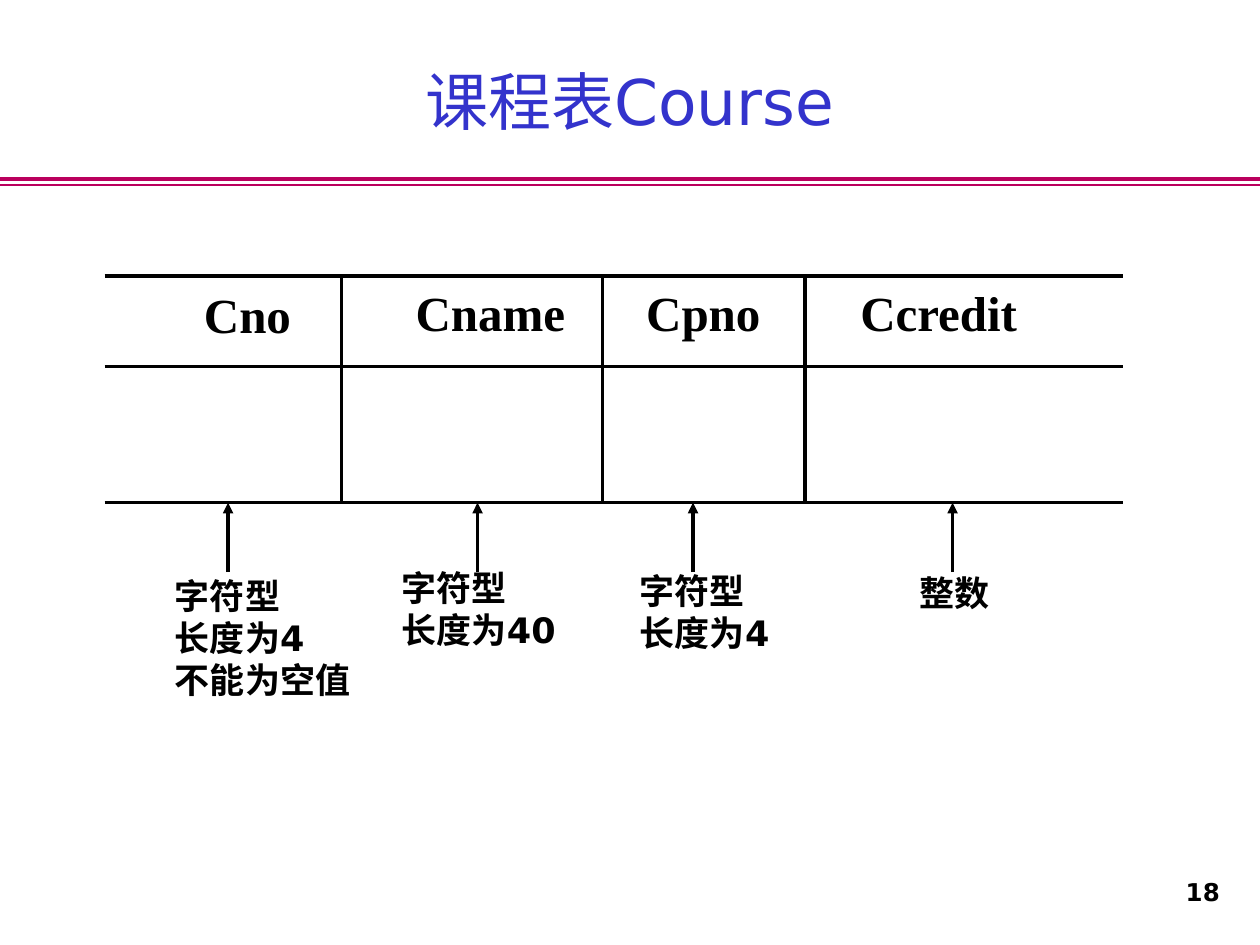
from pptx import Presentation
from pptx import util as u
from pptx.dml.color import RGBColor
from pptx.enum import shapes, text
from pptx.oxml.ns import qn
from lxml import etree

SANS, SERIF = "DejaVu Sans", "Times New Roman"
BLACK, BLUE, CRIMSON = "000000", "3333CC", "BA005D"

# Table grid, in inches
LEFT, RIGHT = 0.83, 8.91
ROWS = [2.19, 2.91, 3.99]
COLUMNS = [2.71, 4.78, 6.39]
ARROW_START = 4.54

# Field: (name, box), arrow x, (type notes, box)
FIELDS = [
    ("Cno", (1.52, 2.21, 0.98, 0.57), 1.81,
     ["字符型", "长度为4", "不能为空值"], (1.29, 4.51, 1.65, 1.1)),
    ("Cname", (3.2, 2.19, 1.5, 0.57), 3.79,
     ["字符型", "长度为40"], (3.09, 4.45, 1.42, 0.77)),
    ("Cpno", (5.03, 2.19, 1.22, 0.57), 5.5,
     ["字符型", "长度为4"], (4.98, 4.47, 1.26, 0.77)),
    ("Ccredit", (6.73, 2.19, 1.6, 0.57), 7.56,
     ["整数"], (7.2, 4.49, 0.9, 0.44)),
]


def color(value):
    return RGBColor.from_string(value)


def format_text(tf, size, font, fill, bold, align):
    for p in tf.paragraphs:
        p.alignment = align
        for r in p.runs:
            r.font.size = u.Pt(size)
            r.font.name = font
            r.font.bold = bold
            r.font.color.rgb = color(fill)


def add_text(s, lines, box, size, font, align=text.PP_ALIGN.LEFT):
    sp = s.shapes.add_textbox(*map(u.Inches, box))
    tf = sp.text_frame
    tf.word_wrap = True
    tf.text = "\n".join(lines)
    format_text(tf, size, font, BLACK, True, align)
    return tf


def add_line(s, x1, y1, x2, y2, width=2, stroke=BLACK, arrow=False):
    line = s.shapes.add_connector(shapes.MSO_CONNECTOR.STRAIGHT,
                                  *map(u.Inches, (x1, y1, x2, y2)))
    line.line.width = u.Pt(width)
    line.line.color.rgb = color(stroke)
    if arrow:
        ln = line._element.spPr.find(qn("a:ln"))
        etree.SubElement(ln, qn("a:tailEnd"), type="triangle")
    etree.SubElement(line._element.spPr, qn("a:effectLst"))


def add_title(s, title):
    sp = s.shapes.title
    sp.left, sp.top, sp.width, sp.height = map(u.Inches, (0.75, 0.17, 8.5, 1.25))
    tf = sp.text_frame
    tf.text = title
    tf.vertical_anchor = text.MSO_ANCHOR.MIDDLE
    format_text(tf, 36, SANS, BLUE, False, text.PP_ALIGN.CENTER)


def add_grid(s):
    for y in ROWS:
        add_line(s, LEFT, y, RIGHT, y)
    for x in COLUMNS:
        add_line(s, x, ROWS[0], x, ROWS[-1])


def main():
    prs = Presentation()
    prs.slide_width, prs.slide_height = u.Inches(10), u.Inches(7.5)
    s = prs.slides.add_slide(prs.slide_layouts[5])

    # Double rule, page number and title
    for y, width in ((1.42, 2.25), (1.47, 1)):
        add_line(s, 0, y, 10, y, width, CRIMSON)
    number = add_text(s, ["18"], (7.7, 6.83, 2.08, 0.5), 14, SANS,
                      text.PP_ALIGN.RIGHT)
    number.vertical_anchor = text.MSO_ANCHOR.MIDDLE
    add_title(s, "课程表Course")

    # Course table with a type note under each column
    add_grid(s)
    for name, name_box, x, notes, notes_box in FIELDS:
        add_text(s, [name], name_box, 28, SERIF)
        add_line(s, x, ARROW_START, x, ROWS[-1], arrow=True)
        add_text(s, notes, notes_box, 20, SANS)

    prs.save("out.pptx")


if __name__ == "__main__":
    main()
